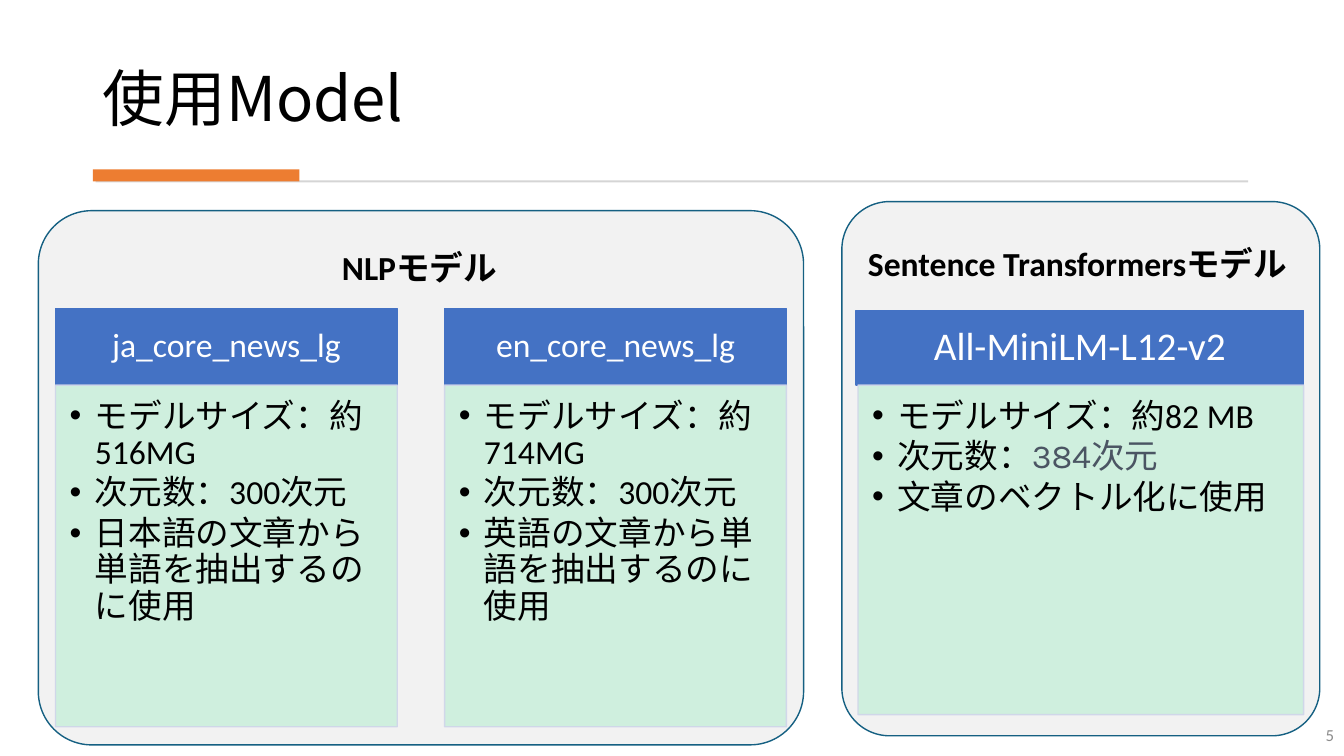
import dataclasses

import lxml.etree
import pptx
import pptx.dml.color
import pptx.enum.shapes
import pptx.enum.text
import pptx.oxml.ns
import pptx.util

PX = 9144  # EMU per px, 100 px to the inch
ALIGN = pptx.enum.text.PP_ALIGN
ANCHOR = pptx.enum.text.MSO_ANCHOR
SHAPE = pptx.enum.shapes.MSO_SHAPE


@dataclasses.dataclass(frozen=True)
class Theme:
    ink: str = "000000"
    white: str = "FFFFFF"
    accent: str = "ED7D31"
    rule: str = "D5D5D5"
    panel: str = "F2F2F2"
    panel_edge: str = "156082"
    header: str = "4472C4"
    details: str = "CCEFDC"
    details_edge: str = "CFD5EA"
    dimension: str = "4B5563"
    page: str = "8C8C8C"
    latin: str = "Calibri"
    dimension_latin: str = "Karla"
    japanese: str = "Noto Sans CJK JP"
    title_size: int = 44
    wide_header_size: int = 28
    body_size: int = 24
    page_size: int = 12
    details_alpha: int = 90


THEME = Theme()

# header box, header size, header inset (x, y), name, details box, lines of (text, format) runs
DIMENSION = {"name": THEME.dimension_latin, "color": THEME.dimension}
MODELS = [
    ((849, 308, 444, 74), THEME.wide_header_size, (22, 12), "All-MiniLM-L12-v2",
     (851, 382, 442, 327),
     [[("モデルサイズ：約82 MB", {})],
      [("次元数：", {}), ("384次元", DIMENSION)],
      [("文章のベクトル化に使用", {})]]),
    ((55, 306, 339, 76), THEME.body_size, (19, 11), "ja_core_news_lg",
     (55, 382, 339, 339),
     [[("モデルサイズ：約516MG", {})],
      [("次元数：300次元", {})],
      [("日本語の文章から単語を抽出するのに使用", {})]]),
    ((441, 306, 339, 76), THEME.body_size, (19, 11), "en_core_news_lg",
     (441, 382, 339, 339),
     [[("モデルサイズ：約714MG", {})],
      [("次元数：300次元", {})],
      [("英語の文章から単語を抽出するのに使用", {})]]),
]


def rgb(color):
    return pptx.dml.color.RGBColor.from_string(color)


def apply(target, formats):
    for attribute, value in formats.items():
        setattr(target, attribute, value)


def place(shape, box):
    apply(shape, dict(zip(("left", "top", "width", "height"), (n * PX for n in box))))


def paint(shape, fill, edge=None):
    shape.fill.solid()
    shape.fill.fore_color.rgb = rgb(fill)
    if edge:
        shape.line.color.rgb = rgb(edge)
        shape.line.width = pptx.util.Pt(1)
    else:
        shape.line.fill.background()


def make_translucent(shape, percent):
    """Set the opacity of the shape's own fill and line."""
    properties = shape.element.spPr
    for color in properties.iter(pptx.oxml.ns.qn("a:srgbClr")):
        alpha = lxml.etree.SubElement(color, pptx.oxml.ns.qn("a:alpha"))
        alpha.set("val", str(percent * 1000))


def format_frame(frame, anchor, insets=(10, 5, 10, 5)):
    sides = ("margin_left", "margin_top", "margin_right", "margin_bottom")
    apply(frame, dict(zip(sides, (n * PX for n in insets))))
    apply(frame, {"word_wrap": True, "vertical_anchor": anchor,
                  "auto_size": pptx.enum.text.MSO_AUTO_SIZE.NONE})


def add_run(paragraph, text, size, color=THEME.ink, name=THEME.latin, bold=False):
    run = paragraph.add_run()
    run.text = text
    apply(run.font, {"size": pptx.util.Pt(size), "name": name, "bold": bold})
    run.font.color.rgb = rgb(color)
    east_asian = lxml.etree.Element(pptx.oxml.ns.qn("a:ea"), typeface=THEME.japanese)
    run.font._element.find(pptx.oxml.ns.qn("a:latin")).addnext(east_asian)


def add_block(slide, kind, box, fill, edge=None):
    block = slide.shapes.add_shape(kind, *(n * PX for n in box))
    block.shadow.inherit = False
    paint(block, fill, edge)
    return block


def add_panel(slide, box):
    panel = add_block(slide, SHAPE.ROUNDED_RECTANGLE, box, THEME.panel, THEME.panel_edge)
    panel.adjustments[0] = 0.1


def add_label(slide, box, text, size, align, anchor=ANCHOR.TOP, **run_format):
    label = slide.shapes.add_textbox(*(n * PX for n in box))
    format_frame(label.text_frame, anchor)
    paragraph = label.text_frame.paragraphs[0]
    paragraph.alignment = align
    add_run(paragraph, text, size, **run_format)


def add_header(slide, box, size, inset, name):
    header = add_block(slide, SHAPE.RECTANGLE, box, THEME.header, THEME.header)
    format_frame(header.text_frame, ANCHOR.MIDDLE, inset * 2)
    paragraph = header.text_frame.paragraphs[0]
    apply(paragraph, {"alignment": ALIGN.CENTER, "line_spacing": 0.9})
    add_run(paragraph, name, size, THEME.white)


def add_bullet(paragraph):
    properties = paragraph._p.get_or_add_pPr()
    properties.set("marL", str(25 * PX))
    properties.set("indent", str(-25 * PX))
    lxml.etree.SubElement(properties, pptx.oxml.ns.qn("a:buFont"), typeface="Arial")
    lxml.etree.SubElement(properties, pptx.oxml.ns.qn("a:buChar"), char="•")


def fill_details(details, box, lines):
    """Format a body placeholder as a bulleted box in front of its panel."""
    details.element.getparent().append(details.element)
    place(details, box)
    paint(details, THEME.details, THEME.details_edge)
    make_translucent(details, THEME.details_alpha)
    frame = details.text_frame
    format_frame(frame, ANCHOR.TOP, (14, 14, 19, 21))
    for index, runs in enumerate(lines):
        paragraph = frame.add_paragraph() if index else frame.paragraphs[0]
        apply(paragraph, {"alignment": ALIGN.LEFT, "line_spacing": 0.9,
                          "space_before": pptx.util.Pt(0), "space_after": pptx.util.Pt(3)})
        add_bullet(paragraph)
        for text, run_format in runs:
            add_run(paragraph, text, THEME.body_size, **run_format)


def fill_title(title, text):
    place(title, (92, 28, 1149, 111))
    format_frame(title.text_frame, ANCHOR.BOTTOM)
    paragraph = title.text_frame.paragraphs[0]
    apply(paragraph, {"alignment": ALIGN.LEFT, "line_spacing": 0.9})
    add_run(paragraph, text, THEME.title_size, name=THEME.japanese)


def main():
    deck = pptx.Presentation()
    apply(deck, {"slide_width": 1333 * PX, "slide_height": 750 * PX})
    slide = deck.slides.add_slide(deck.slide_layouts.get_by_name("Comparison"))
    title, *bodies = slide.placeholders

    fill_title(title, "使用Model")
    add_block(slide, SHAPE.RECTANGLE, (95, 179, 1143, 2), THEME.rule)
    add_block(slide, SHAPE.RECTANGLE, (92, 168, 205, 12), THEME.accent)

    add_panel(slide, (835, 200, 474, 530))
    add_panel(slide, (38, 209, 759, 530))
    add_label(slide, (851, 236, 446, 50), "Sentence Transformersモデル",
              THEME.body_size, ALIGN.LEFT, bold=True)
    add_label(slide, (194, 240, 444, 50), "NLPモデル",
              THEME.body_size, ALIGN.CENTER, bold=True)

    for body, (header_box, size, inset, name, details_box, lines) in zip(bodies, MODELS):
        add_header(slide, header_box, size, inset, name)
        fill_details(body, details_box, lines)
    for unused in bodies[len(MODELS):]:
        unused.element.getparent().remove(unused.element)

    add_label(slide, (1033, 709, 300, 40), "5", THEME.page_size, ALIGN.RIGHT,
              ANCHOR.MIDDLE, color=THEME.page)
    deck.save("out.pptx")


if __name__ == "__main__":
    main()
